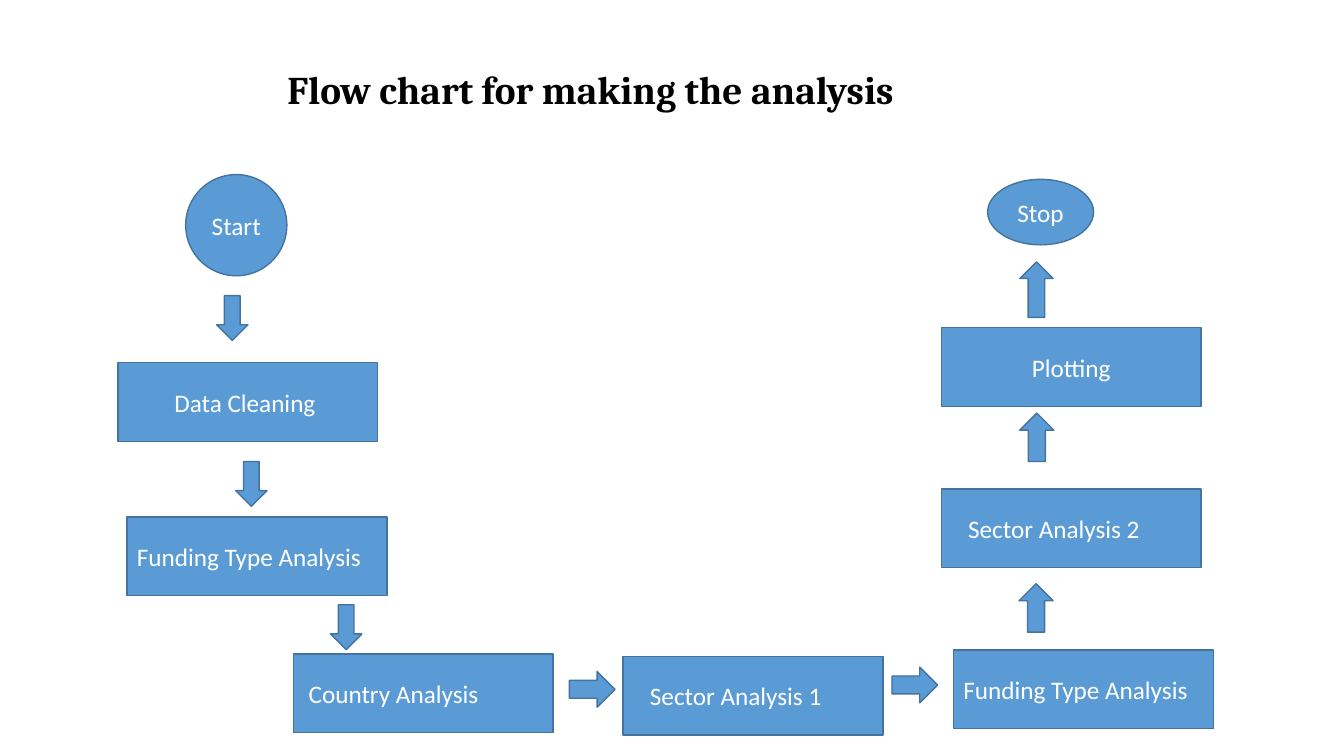
from pptx import Presentation
from pptx.dml.color import RGBColor
from pptx.enum.shapes import MSO_SHAPE
from pptx.enum.text import MSO_ANCHOR, PP_ALIGN
from pptx.util import Cm, Pt

RECT, OVAL = MSO_SHAPE.RECTANGLE, MSO_SHAPE.OVAL
DOWN, UP, RIGHT = MSO_SHAPE.DOWN_ARROW, MSO_SHAPE.UP_ARROW, MSO_SHAPE.RIGHT_ARROW
LEFT, MID = PP_ALIGN.LEFT, PP_ALIGN.CENTER
HUES = {"fill": "5B9BD5", "line": "43739E", "title": "000000", "label": "FFFFFF"}
FONTS = {
    "title": {"name": "Cambria", "size": Pt(28), "bold": True},
    "label": {"name": "Calibri", "size": Pt(18), "bold": False},
}
BOX = (6.55, 1.98)

deck = Presentation()
deck.slide_width, deck.slide_height = Cm(33.87), Cm(19.05)
slide = deck.slides.add_slide(deck.slide_layouts[6])


def write(shape, text, role, align=LEFT, indent=0):
    frame = shape.text_frame
    frame.word_wrap = True
    frame.vertical_anchor = MSO_ANCHOR.MIDDLE
    frame.margin_left = Cm(0.25 + indent)
    para = frame.paragraphs[0]
    para.alignment = align
    run = para.add_run()
    run.text = text
    for key, value in FONTS[role].items():
        setattr(run.font, key, value)
    run.font.color.rgb = RGBColor.from_string(HUES[role])
    return para


def draw(kind, x, y, size):
    shape = slide.shapes.add_shape(kind, Cm(x), Cm(y), *map(Cm, size))
    shape.shadow.inherit = False
    shape.fill.solid()
    shape.fill.fore_color.rgb = RGBColor.from_string(HUES["fill"])
    shape.line.color.rgb = RGBColor.from_string(HUES["line"])
    shape.line.width = Pt(1)
    return shape


title = slide.shapes.add_textbox(Cm(6.99), Cm(1.12), Cm(25.88), Cm(2.39))
write(title, "Flow chart for making the analysis", "title").line_spacing = 0.9

steps = [
    ("Start", OVAL, 4.68, 4.4, (2.55, 2.55), MID, 0),
    ("Data Cleaning ", RECT, 2.97, 9.14, BOX, MID, 0),
    ("Funding Type Analysis", RECT, 3.2, 13.03, BOX, LEFT, 0),
    ("Country\u00a0Analysis", RECT, 7.39, 16.48, BOX, LEFT, 0.14),
    ("Sector\u00a0Analysis 1", RECT, 15.7, 16.54, BOX, LEFT, 0.43),
    ("Funding Type Analysis", RECT, 24.03, 16.38, BOX, LEFT, 0),
    ("Sector\u00a0Analysis 2", RECT, 23.72, 12.32, BOX, LEFT, 0.43),
    ("Plotting", RECT, 23.72, 8.26, BOX, MID, 0),
    ("Stop", OVAL, 24.89, 4.52, (2.67, 1.65), MID, 0),
]
for text, kind, x, y, size, align, indent in steps:
    write(draw(kind, x, y, size), text, "label", align, indent)

arrows = [
    (DOWN, (0.79, 1.13), [(5.46, 7.45), (5.94, 11.63), (8.33, 15.24)]),
    (UP, (0.84, 1.4), [(25.7, 6.6)]),
    (UP, (0.86, 1.22), [(25.7, 10.41), (25.68, 14.71)]),
    (RIGHT, (1.15, 0.9), [(14.35, 16.92), (22.48, 16.81)]),
]
for kind, size, spots in arrows:
    for x, y in spots:
        draw(kind, x, y, size)

deck.save("out.pptx")
